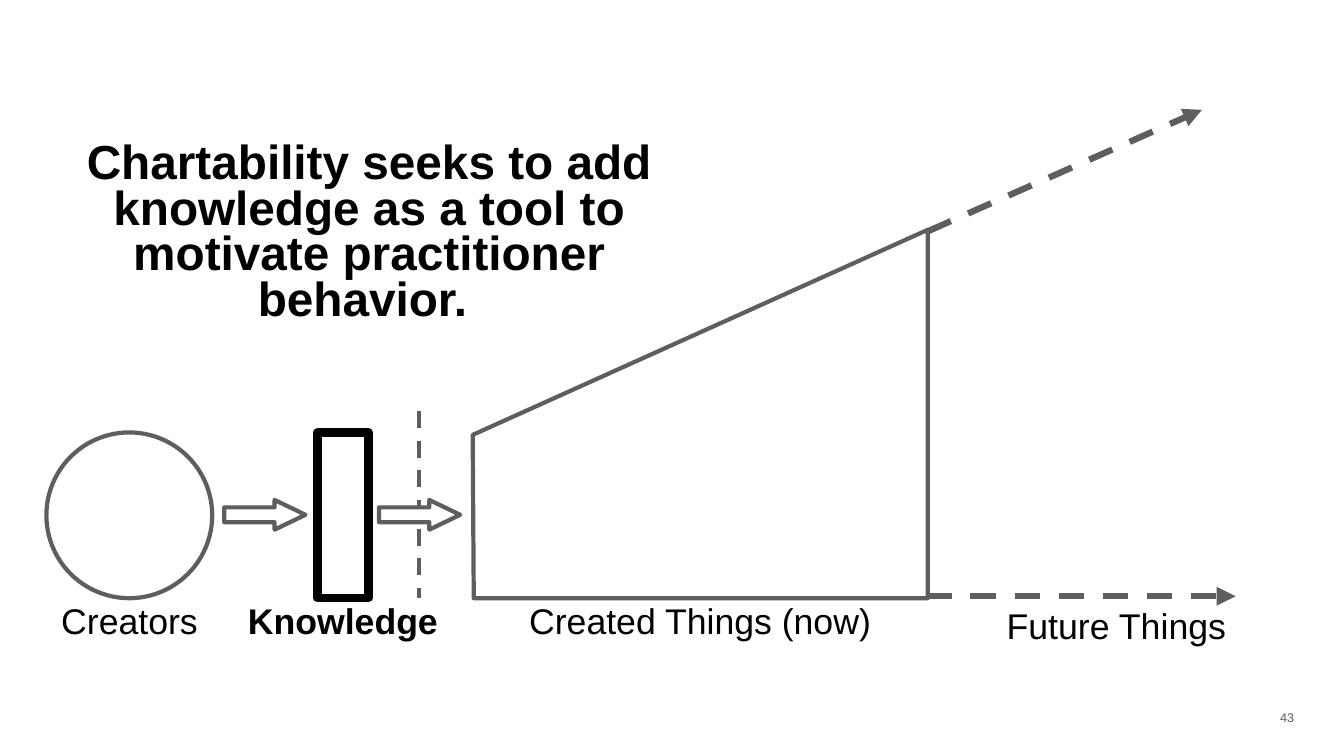
from typing import NamedTuple

from lxml.etree import SubElement
from pptx import Presentation
from pptx.dml.color import RGBColor
from pptx.enum.dml import MSO_LINE_DASH_STYLE as Dash
from pptx.enum.shapes import MSO_CONNECTOR, MSO_SHAPE
from pptx.enum.text import MSO_ANCHOR, MSO_AUTO_SIZE, PP_ALIGN
from pptx.oxml.ns import qn
from pptx.util import Inches, Pt

WHITE = RGBColor(0xFF, 0xFF, 0xFF)
BLACK = RGBColor(0x00, 0x00, 0x00)
GREY = RGBColor(0x5E, 0x5E, 0x5E)
FONT = "Arial"

WIDTH, HEIGHT = Inches(26.67), Inches(15)
# The grid has 100 columns and 100 rows.
BASELINE = 79.13
STAGE_TOP = 57.2
STAGE_HEIGHT = BASELINE - STAGE_TOP
LABEL_TOP = 79.47


class Area(NamedTuple):
    col: float
    row: float
    cols: float
    rows: float


class Node(NamedTuple):
    kind: MSO_SHAPE
    area: Area
    color: RGBColor = GREY
    weight: float = 6
    adjustments: tuple[float, ...] = ()


class Caption(NamedTuple):
    text: str
    area: Area
    size: float = 50.9
    bold: bool = False
    color: RGBColor = BLACK
    align: PP_ALIGN = PP_ALIGN.CENTER
    spacing: float = 0.9
    wrap: bool = True
    inset: float = 0.06


class DashedLine(NamedTuple):
    start: tuple[float, float]
    end: tuple[float, float]
    weight: float
    arrow: bool


def flow_arrow(col: float) -> Node:
    return Node(MSO_SHAPE.RIGHT_ARROW, Area(col, 66.13, 6.04, 3.93),
                adjustments=(0.5, 1.04))


KNOWLEDGE = Node(MSO_SHAPE.RECTANGLE, Area(23.62, STAGE_TOP, 3.79, STAGE_HEIGHT), BLACK, 12)
CREATORS = Node(MSO_SHAPE.OVAL, Area(3.45, STAGE_TOP, 12.34, STAGE_HEIGHT))
FLOW_ARROWS = (flow_arrow(16.69), flow_arrow(28.2))
CREATED_THINGS = ((35.17, 57.53), (35.25, BASELINE), (69.03, BASELINE), (69.03, 30.4))

DIVIDER = DashedLine((31.2, 54.4), (31.2, BASELINE), 6, False)
FUTURE_EDGES = (
    DashedLine((69.03, 30.6), (89.43, 14.53), 9, True),
    DashedLine((68.92, 78.87), (91.94, 78.87), 9, True),
)

HEADLINE = Caption(
    "Chartability seeks to add knowledge as a tool to motivate practitioner behavior. ",
    Area(2.36, 18.47, 50.21, 28.6), 68.2, bold=True, spacing=0.8)
CAPTIONS = (
    Caption("Creators", Area(2.36, LABEL_TOP, 14.55, 7.67)),
    Caption("Knowledge", Area(16.12, LABEL_TOP, 18.79, 7.67), bold=True),
    Caption("Created Things (now)", Area(35.66, LABEL_TOP, 32.85, 7.67)),
    Caption("Future Things", Area(67.3, LABEL_TOP, 31.53, 10.87), 51, spacing=1.0),
    Caption("43", Area(94.08, 93.47, 2.47, 4.67), 18, color=GREY,
            align=PP_ALIGN.LEFT, spacing=1.0, wrap=False, inset=0.31),
)


def x(col: float) -> int:
    return round(WIDTH * col / 100)


def y(row: float) -> int:
    return round(HEIGHT * row / 100)


def box(area: Area) -> tuple[int, int, int, int]:
    return x(area.col), y(area.row), x(area.cols), y(area.rows)


def outline(shape, color: RGBColor, weight: float) -> None:
    shape.shadow.inherit = False
    shape.fill.solid()
    shape.fill.fore_color.rgb = WHITE
    shape.line.color.rgb = color
    shape.line.width = Pt(weight)


def draw_node(slide, node: Node) -> None:
    shape = slide.shapes.add_shape(node.kind, *box(node.area))
    for index, value in enumerate(node.adjustments):
        shape.adjustments[index] = value
    outline(shape, node.color, node.weight)


def draw_polygon(slide, points) -> None:
    first, *rest = [(x(col), y(row)) for col, row in points]
    builder = slide.shapes.build_freeform(*first)
    builder.add_line_segments(rest, close=True)
    outline(builder.convert_to_shape(), GREY, 6)


def draw_dashed(slide, dashed: DashedLine) -> None:
    (col1, row1), (col2, row2) = dashed.start, dashed.end
    connector = slide.shapes.add_connector(
        MSO_CONNECTOR.STRAIGHT, x(col1), y(row1), x(col2), y(row2))
    connector.line.color.rgb = GREY
    connector.line.width = Pt(dashed.weight)
    connector.line.dash_style = Dash.DASH
    properties = connector._element.spPr
    if dashed.arrow:
        SubElement(properties.find(qn("a:ln")), qn("a:tailEnd"), type="triangle")
    SubElement(properties, qn("a:effectLst"))


def write(shape, caption: Caption) -> None:
    shape.left, shape.top, shape.width, shape.height = box(caption.area)
    frame = shape.text_frame
    frame.auto_size = MSO_AUTO_SIZE.NONE
    frame.word_wrap = caption.wrap
    frame.vertical_anchor = MSO_ANCHOR.TOP
    frame.margin_left = Inches(caption.inset)
    frame.margin_right = frame.margin_top = frame.margin_bottom = Inches(0.06)
    paragraph = frame.paragraphs[0]
    paragraph.alignment = caption.align
    paragraph.line_spacing = caption.spacing
    paragraph.space_before = Pt(0)
    run = paragraph.add_run()
    run.text = caption.text
    run.font.name = FONT
    run.font.size = Pt(caption.size)
    run.font.bold = caption.bold
    run.font.color.rgb = caption.color


def main() -> None:
    prs = Presentation()
    prs.slide_width, prs.slide_height = WIDTH, HEIGHT
    slide = prs.slides.add_slide(prs.slide_layouts[5])
    write(slide.shapes.title, HEADLINE)
    draw_node(slide, KNOWLEDGE)
    draw_node(slide, CREATORS)
    draw_polygon(slide, CREATED_THINGS)
    draw_dashed(slide, DIVIDER)
    for arrow in FLOW_ARROWS:
        draw_node(slide, arrow)
    for edge in FUTURE_EDGES:
        draw_dashed(slide, edge)
    for caption in CAPTIONS:
        write(slide.shapes.add_textbox(*box(caption.area)), caption)
    prs.save("out.pptx")


if __name__ == "__main__":
    main()
